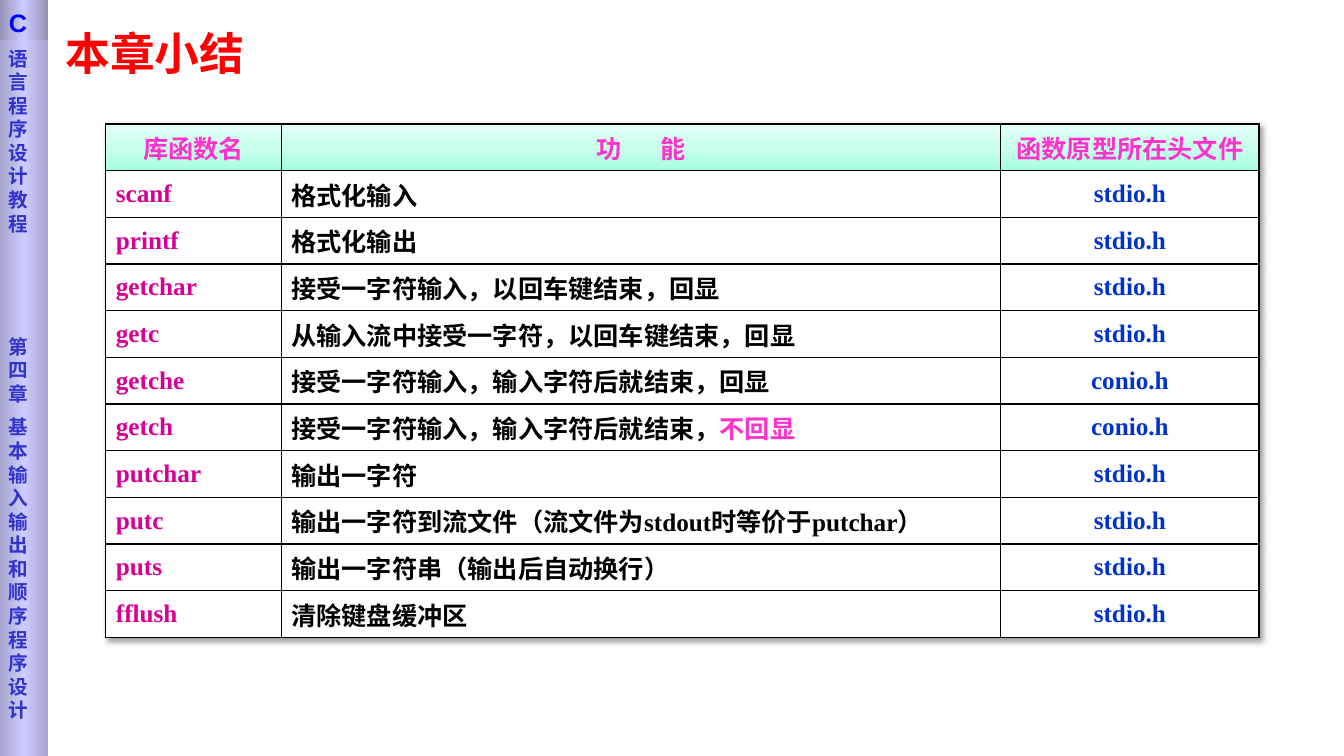
from copy import deepcopy

from lxml import etree
from pptx import Presentation
from pptx.dml.color import RGBColor
from pptx.enum.shapes import MSO_SHAPE
from pptx.enum.text import MSO_ANCHOR, PP_ALIGN
from pptx.oxml.ns import qn
from pptx.util import Pt

LEFT, CENTER = PP_ALIGN.LEFT, PP_ALIGN.CENTER
TOP, MIDDLE = MSO_ANCHOR.TOP, MSO_ANCHOR.MIDDLE
RECTANGLE = MSO_SHAPE.RECTANGLE

TITLE = "本章小结"
COURSE_LETTER = "C"
SIDEBAR_LINES = ["语言程序设计教程", "第四章", "基本输入输出和顺序程序设计"]
HEADERS = ["库函数名", "功 能", "函数原型所在头文件"]
FUNCTIONS = [
    ("scanf", "格式化输入", "stdio.h"),
    ("printf", "格式化输出", "stdio.h"),
    ("getchar", "接受一字符输入，以回车键结束，回显", "stdio.h"),
    ("getc", "从输入流中接受一字符，以回车键结束，回显", "stdio.h"),
    ("getche", "接受一字符输入，输入字符后就结束，回显", "conio.h"),
    ("getch", "接受一字符输入，输入字符后就结束，不回显", "conio.h"),
    ("putchar", "输出一字符", "stdio.h"),
    ("putc", "输出一字符到流文件（流文件为stdout时等价于putchar）", "stdio.h"),
    ("puts", "输出一字符串（输出后自动换行）", "stdio.h"),
    ("fflush", "清除键盘缓冲区", "stdio.h"),
]
HIGHLIGHT = "不回显"

THEME = {
    "cjk": "Noto Sans CJK SC", "serif": "Times New Roman",
    "sans": "Arial", "side": "DejaVu Sans",
    "title_size": 32, "table_size": 18, "letter_size": 18, "side_size": 14,
    "title": "FF0000", "header": "FF33CC", "name": "D60093", "body": "000000",
    "file": "0033CC", "side_text": "3333CC", "letter": "0000FF",
    "cell": "FFFFFF", "border": "000000",
    "header_fill": ["A7FFE2", "C9FFEC", "E5FFF5"],
    "side_fill": ["A4A4CD", "CCCCFF", "A4A4CD"],
    "letter_fill": ["9292B6", "CCCCFF", "9292B6"],
}

SLIDE_W, SLIDE_H = 960, 540
SIDEBAR_X, SIDEBAR_W, LETTER_H = -0.7, 35.3, 28.8
SIDE_PITCH, SIDE_GAPS = 16.84, [0, 71, 7.2]
TABLE_X, TABLE_Y, ROW_H = 75.6, 88.6, 33.35
COLUMN_WIDTHS = [125.3, 514, 184.4]
HEADER_GAP = 12


def add_run(paragraph, text, *, size, color, latin, spacing=0):
    run = paragraph.add_run()
    run.text = text
    run.font.size = Pt(size)
    run.font.bold = True
    run.font.name = latin
    run.font.color.rgb = RGBColor.from_string(color)
    properties = run.font._element
    etree.SubElement(properties, qn("a:ea")).set("typeface", THEME["cjk"])
    if spacing:
        properties.set("spc", str(spacing * 100))


def fill_gradient(fill, owner, colors, angle):
    """Spread three colours evenly along a linear gradient."""
    fill.gradient()
    fill.gradient_angle = angle
    stops = owner.find(".//" + qn("a:gsLst"))
    stops.append(deepcopy(stops[-1]))
    for index, (stop, color) in enumerate(zip(fill.gradient_stops, colors)):
        stop.position = index / 2
        stop.color.rgb = RGBColor.from_string(color)


def add_borders(cell):
    properties = cell._tc.get_or_add_tcPr()
    for side in ("lnL", "lnR", "lnT", "lnB"):
        line = etree.SubElement(properties, qn("a:" + side), w=str(Pt(1)))
        solid = etree.SubElement(line, qn("a:solidFill"))
        etree.SubElement(solid, qn("a:srgbClr"), val=THEME["border"])


def add_table_shadow(table):
    properties = table._tbl.tblPr
    effects = etree.Element(qn("a:effectLst"))
    shadow = etree.SubElement(effects, qn("a:outerShdw"), blurRad=str(Pt(4)),
                              dist=str(Pt(3)), dir="2700000", algn="tl", rotWithShape="0")
    color = etree.SubElement(shadow, qn("a:srgbClr"), val="000000")
    etree.SubElement(color, qn("a:alpha"), val="40000")
    properties.insert(0, effects)


def add_title(slide):
    frame = slide.shapes.add_textbox(Pt(39.6), Pt(19.4), Pt(612), Pt(51)).text_frame
    frame.word_wrap = True
    paragraph = frame.paragraphs[0]
    paragraph.line_spacing = 0.9
    add_run(paragraph, TITLE, size=THEME["title_size"], color=THEME["title"],
            latin=THEME["cjk"])


def add_function_table(slide):
    rows = [HEADERS, *FUNCTIONS]
    table = slide.shapes.add_table(len(rows), len(HEADERS), Pt(TABLE_X), Pt(TABLE_Y),
                                   Pt(sum(COLUMN_WIDTHS)), Pt(ROW_H * len(rows))).table
    table.horz_banding = False
    add_table_shadow(table)
    for column, width in zip(table.columns, COLUMN_WIDTHS):
        column.width = Pt(width)
    body_colors = [THEME["name"], THEME["body"], THEME["file"]]
    for r, values in enumerate(rows):
        table.rows[r].height = Pt(ROW_H)
        is_header = r == 0
        for c, value in enumerate(values):
            cell = table.cell(r, c)
            add_borders(cell)
            if is_header:
                fill_gradient(cell.fill, cell._tc, THEME["header_fill"], 90)
            else:
                cell.fill.solid()
                cell.fill.fore_color.rgb = RGBColor.from_string(THEME["cell"])
            cell.vertical_anchor = TOP if c == 1 and not is_header else MIDDLE
            paragraph = cell.text_frame.paragraphs[0]
            paragraph.alignment = CENTER if is_header or c == 2 else LEFT
            color = THEME["header"] if is_header else body_colors[c]
            style = {"size": THEME["table_size"], "latin": THEME["serif"]}
            if is_header and c == 1:
                add_run(paragraph, value[:2], color=color, spacing=HEADER_GAP, **style)
                add_run(paragraph, value[2:], color=color, **style)
                continue
            plain, marked, _ = value.partition(HIGHLIGHT)
            add_run(paragraph, plain, color=color, **style)
            if marked:
                add_run(paragraph, marked, color=THEME["header"], **style)


def add_sidebar_block(slide, height, colors, top_inset):
    """Draw one gradient block of the sidebar and return its text frame."""
    block = slide.shapes.add_shape(RECTANGLE, Pt(SIDEBAR_X), Pt(0),
                                   Pt(SIDEBAR_W), Pt(height))
    block.shadow.inherit = False
    block.line.fill.background()
    fill_gradient(block.fill, block.element, colors, 0)
    frame = block.text_frame
    frame.word_wrap = True
    frame.vertical_anchor = TOP
    frame.margin_top = Pt(top_inset)
    return frame


def add_sidebar(slide):
    frame = add_sidebar_block(slide, SLIDE_H, THEME["side_fill"], 33.2)
    for index, (line, gap) in enumerate(zip(SIDEBAR_LINES, SIDE_GAPS)):
        paragraph = frame.add_paragraph() if index else frame.paragraphs[0]
        paragraph.alignment = LEFT
        paragraph.line_spacing = Pt(SIDE_PITCH)
        if gap:
            paragraph.space_before = Pt(gap)
        add_run(paragraph, line, size=THEME["side_size"], color=THEME["side_text"],
                latin=THEME["side"])
    letter = add_sidebar_block(slide, LETTER_H, THEME["letter_fill"], 5).paragraphs[0]
    letter.alignment = LEFT
    add_run(letter, COURSE_LETTER, size=THEME["letter_size"], color=THEME["letter"],
            latin=THEME["sans"])


def main():
    deck = Presentation()
    deck.slide_width, deck.slide_height = Pt(SLIDE_W), Pt(SLIDE_H)
    slide = deck.slides.add_slide(deck.slide_layouts[6])
    add_title(slide)
    add_function_table(slide)
    add_sidebar(slide)
    deck.save("out.pptx")


if __name__ == "__main__":
    main()
